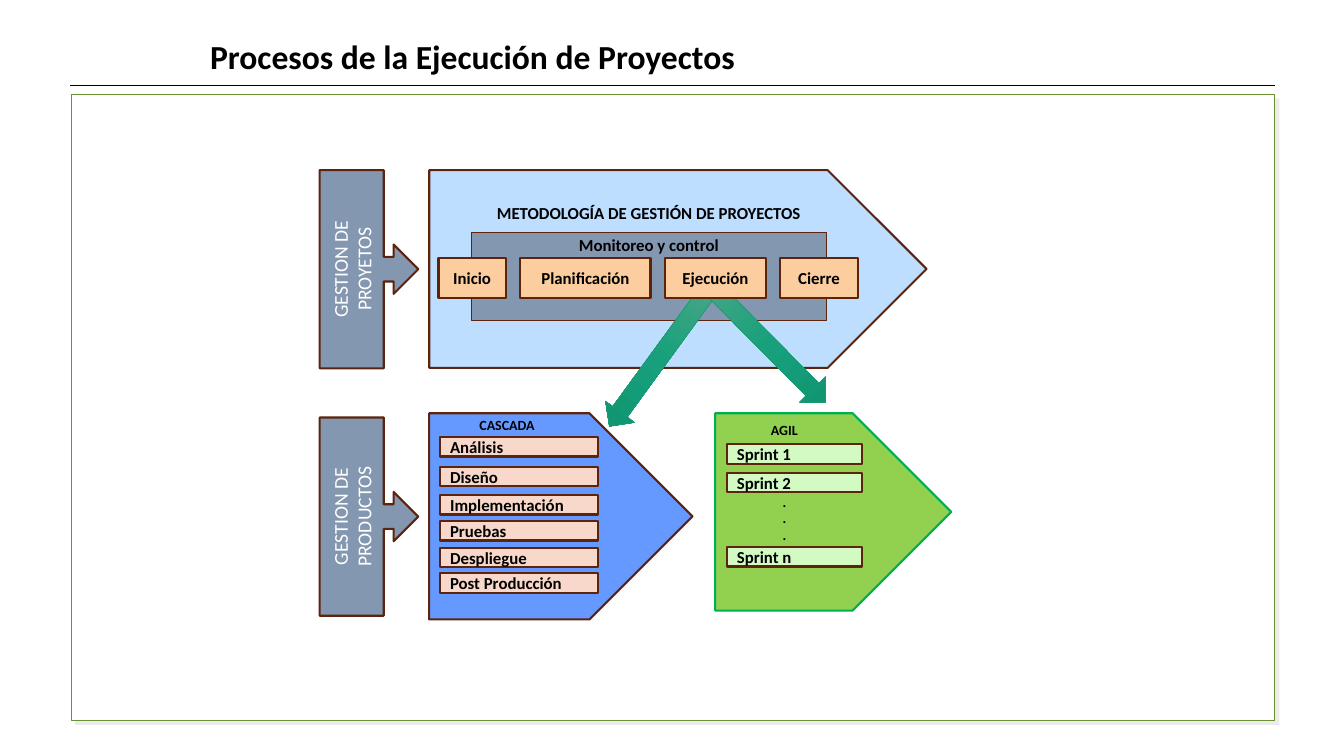
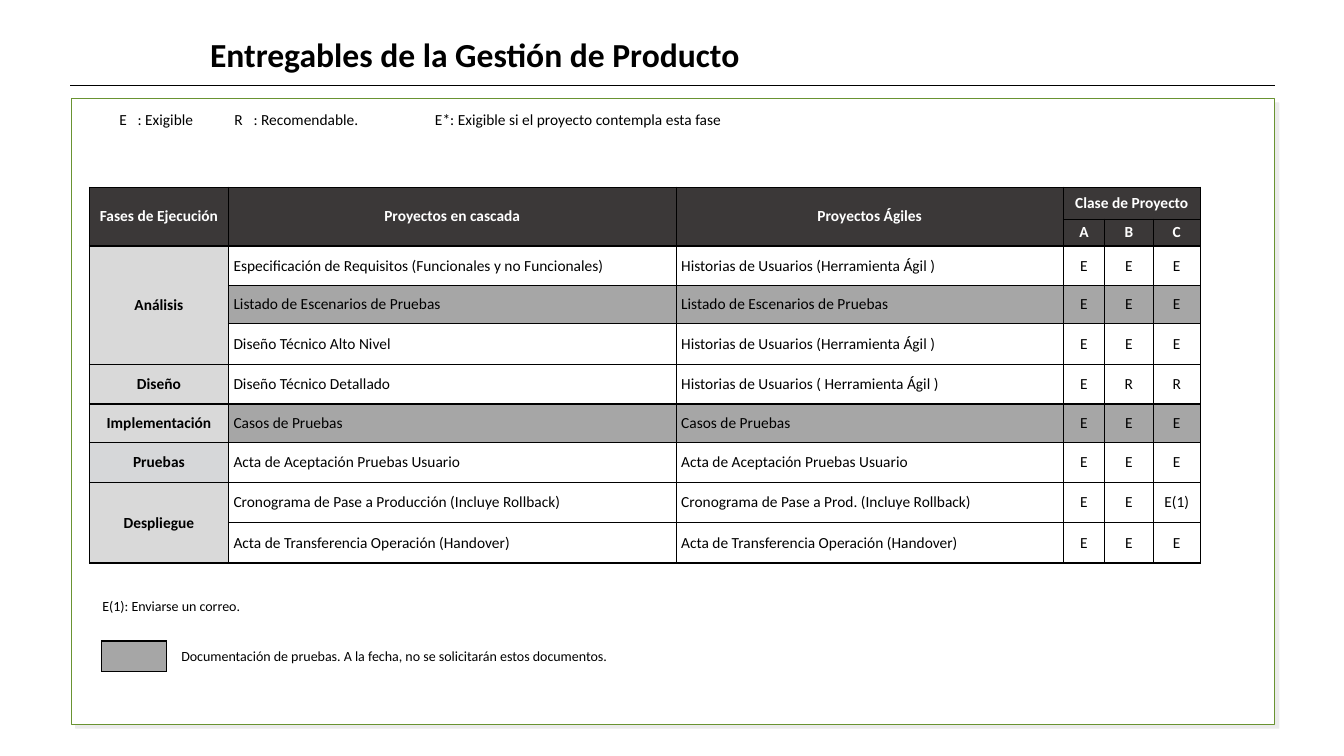
"""Build two slides on project execution: its processes and its product deliverables."""
from pptx import Presentation
from pptx.dml.color import RGBColor
from pptx.enum.shapes import MSO_CONNECTOR, MSO_SHAPE
from pptx.enum.text import MSO_ANCHOR, MSO_AUTO_SIZE, PP_ALIGN
from pptx.oxml import parse_xml
from pptx.oxml.ns import nsdecls
from pptx.util import Inches, Pt

BLACK = RGBColor(0x00, 0x00, 0x00)
WHITE = RGBColor(0xFF, 0xFF, 0xFF)
FRAME = RGBColor(0x69, 0x93, 0x31)
BROWN = RGBColor(0x5C, 0x24, 0x0C)
SLATE = RGBColor(0x84, 0x97, 0xB0)
SKY = RGBColor(0xBD, 0xDE, 0xFF)
BLUE = RGBColor(0x66, 0x99, 0xFF)
LIME = RGBColor(0x92, 0xD0, 0x50)
GREEN = RGBColor(0x00, 0xB0, 0x50)
TEAL = RGBColor(0x1D, 0x9A, 0x78)
ORANGE = RGBColor(0xFB, 0xCD, 0x9F)
PINK = RGBColor(0xF8, 0xD8, 0xCA)
MINT = RGBColor(0xD2, 0xFA, 0xC2)
DARK = RGBColor(0x3B, 0x38, 0x38)
PHASE = RGBColor(0xD9, 0xD9, 0xD9)
PHASE_TESTS = RGBColor(0xD6, 0xD7, 0xD9)
GRAY = RGBColor(0xA6, 0xA6, 0xA6)

COLS, ROWS = 160, 90
U = Pt(6)
LEFT, CENTER = PP_ALIGN.LEFT, PP_ALIGN.CENTER
TOP, MIDDLE = MSO_ANCHOR.TOP, MSO_ANCHOR.MIDDLE


def write(tf, text, size=12, bold=False, color=BLACK, align=LEFT, anchor=TOP, wrap=True):
    tf.text = text
    tf.word_wrap = wrap
    tf.vertical_anchor = anchor
    for p in tf.paragraphs:
        p.alignment = align
        for r in p.runs:
            r.font.name = "Calibri"
            r.font.size = Pt(size)
            r.font.bold = bold
            r.font.color.rgb = color
    return tf


def add(s, box, kind=None, fill=None, line=BROWN, weight=1.5):
    box = [round(v * U) for v in box]
    if kind is None:
        return s.shapes.add_textbox(*box)
    sp = s.shapes.add_shape(kind, *box)
    sp.shadow.inherit = False
    sp.fill.solid()
    sp.fill.fore_color.rgb = fill
    sp.line.color.rgb = line
    sp.line.width = Pt(weight)
    return sp


prs = Presentation()
prs.slide_width, prs.slide_height = COLS * U, ROWS * U

slides = []
for title, title_top, title_width, frame_top in (
    ("Procesos de la Ejecución de Proyectos", 3.7, 65.5, 11.3),
    ("Entregables de la Gestión de Producto", 3.4, 94.8, 11.75),
):
    s = prs.slides.add_slide(prs.slide_layouts[5])
    slides.append(s)
    frame = add(s, (8.5, frame_top, 143.25, 74.45), MSO_SHAPE.ROUND_2_SAME_RECTANGLE,
                WHITE, FRAME, 0.75)
    frame.adjustments[0] = frame.adjustments[1] = 0
    frame.rotation = 180
    frame._element.spPr.find("{*}effectLst").append(parse_xml(
        f'<a:outerShdw {nsdecls("a")} dist="53340" dir="2700000" algn="tl" rotWithShape="0">'
        '<a:srgbClr val="000000"><a:alpha val="8000"/></a:srgbClr></a:outerShdw>'))
    rule = s.shapes.add_connector(
        MSO_CONNECTOR.STRAIGHT, *[round(v * U) for v in (8.35, 10.2, 151.8, 10.2)])
    rule.line.color.rgb = BLACK
    rule.line.width = Pt(0.5)
    rule._element.spPr.append(parse_xml(f'<a:effectLst {nsdecls("a")}/>'))
    sp = s.shapes.title
    sp.left, sp.top, sp.width, sp.height = [
        round(v * U) for v in (23.8, title_top, title_width, 6)]
    tf = write(sp.text_frame, title, size=24, bold=True)
    tf.auto_size = MSO_AUTO_SIZE.NONE

s = slides[0]
for top, text in ((20.25, "GESTION DE\nPROYETOS"), (49.7, "GESTION DE\nPRODUCTOS")):
    sp = add(s, (38.05, top, 11.75, 23.6), MSO_SHAPE.RIGHT_ARROW_CALLOUT, SLATE)
    tf = write(sp.text_frame, text, size=14, color=WHITE, align=CENTER, anchor=MIDDLE)
    tf._txBody.bodyPr.set("vert", "vert270")

for box, fill, line in (
    ((51.1, 20.25, 59.2, 23.55), SKY, BROWN),
    ((51.1, 49.2, 31.35, 24.55), BLUE, BROWN),
    ((85.15, 49.2, 28.1, 23.5), LIME, GREEN),
):
    add(s, box, MSO_SHAPE.PENTAGON, fill, line)

add(s, (56.1, 27.7, 42.3, 10.4), MSO_SHAPE.RECTANGLE, SLATE, weight=0.5)
for top, text in ((23.6, "METODOLOGÍA DE GESTIÓN DE PROYECTOS"), (27.4, "Monitoreo y control")):
    write(add(s, (56.1, top, 42.3, 3.6)).text_frame, text, bold=True, align=CENTER)

for box, angle in (((76.35, 32.5, 4.3, 20.2), 36.1), ((89.3, 31.4, 4.3, 19.3), 315.2)):
    sp = add(s, box, MSO_SHAPE.DOWN_ARROW, TEAL, TEAL, 0.5)
    sp.rotation = angle
    spPr = sp._element.spPr
    spPr.replace(spPr.find("{*}solidFill"), parse_xml(
        f'<a:gradFill {nsdecls("a")} rotWithShape="1"><a:gsLst>'
        '<a:gs pos="0"><a:srgbClr val="4EA788"/></a:gs>'
        '<a:gs pos="50000"><a:srgbClr val="17A07B"/></a:gs>'
        '<a:gs pos="100000"><a:srgbClr val="0F9470"/></a:gs>'
        '</a:gsLst><a:lin ang="5400000" scaled="0"/></a:gradFill>'))

for left, width, text in (
    (52.2, 8, "Inicio"), (61.95, 15.5, "Planificación"),
    (79.2, 11.95, "Ejecución"), (92.9, 9.2, "Cierre"),
):
    sp = add(s, (left, 30.75, width, 4.7), MSO_SHAPE.RECTANGLE, ORANGE)
    write(sp.text_frame, text, bold=True, align=CENTER, anchor=MIDDLE)

for left, width, fill, steps in (
    (52.4, 18.75, PINK, (
        (52.05, "Análisis"), (55.6, "Diseño"), (58.95, "Implementación"),
        (62.05, "Pruebas"), (65.2, "Despliegue"), (68.25, "Post Producción"))),
    (86.55, 16.05, MINT, ((52.9, "Sprint 1"), (56.3, "Sprint 2"), (65.15, "Sprint n"))),
):
    for top, text in steps:
        sp = add(s, (left, top, width, 2.3), MSO_SHAPE.RECTANGLE, fill)
        write(sp.text_frame, text, bold=True, anchor=MIDDLE)

for box, text in (
    ((55.9, 49, 9.1, 3.2), "CASCADA"),
    ((90.6, 49.6, 5.6, 3.2), "AGIL"),
    ((92, 58.1, 2.9, 7.3), ".\n.\n."),
):
    write(add(s, box).text_frame, text, size=10, bold=True, wrap=False)

s = slides[1]
tf = write(add(s, (13.05, 12.5, 82.8, 3.5)).text_frame,
           "E\t: Exigible\tR\t: Recomendable.\tE*: Exigible si el proyecto contempla esta fase",
           size=11)
stops = "".join(f'<a:tab pos="{Inches(x)}" algn="l"/>' for x in (0.18, 1.14, 1.33, 3.13))
tf.paragraphs[0]._p.get_or_add_pPr().append(
    parse_xml(f'<a:tabLst {nsdecls("a")}>{stops}</a:tabLst>'))

widths = (16.55, 53.3, 46.1, 4.9, 5.8, 5.6)
heights = (3.8, 3.2, 4.7, 4.5, 4.95, 4.65, 4.55, 4.8, 4.8, 4.8)
tools = "Historias de Usuarios (Herramienta Ágil )"
tests = "Listado de Escenarios de Pruebas"
accept = "Acta de Aceptación Pruebas Usuario"
handover = "Acta de Transferencia Operación (Handover)"
data = (
    ("Fases de Ejecución", "Proyectos en cascada", "Proyectos Ágiles", "Clase de Proyecto", "", ""),
    ("", "", "", "A", "B", "C"),
    ("Análisis", "Especificación de Requisitos (Funcionales y no Funcionales)", tools, "E", "E", "E"),
    ("", tests, tests, "E", "E", "E"),
    ("", "Diseño Técnico Alto Nivel", tools, "E", "E", "E"),
    ("Diseño", "Diseño Técnico Detallado", "Historias de Usuarios ( Herramienta Ágil )", "E", "R", "R"),
    ("Implementación", "Casos de Pruebas", "Casos de Pruebas", "E", "E", "E"),
    ("Pruebas", accept, accept, "E", "E", "E"),
    ("Despliegue", "Cronograma de Pase a Producción (Incluye Rollback)",
     "Cronograma de Pase a Prod. (Incluye Rollback)", "E", "E", "E(1)"),
    ("", handover, handover, "E", "E", "E"),
)
spans = (((0, 0), (1, 0)), ((0, 1), (1, 1)), ((0, 2), (1, 2)),
         ((0, 3), (0, 5)), ((2, 0), (4, 0)), ((8, 0), (9, 0)))
HEADER_ROWS = 2
row_fills = {0: DARK, 1: DARK, 3: GRAY, 6: GRAY}
first_fills = {0: DARK, 1: DARK, 7: PHASE_TESTS}
fills = [[first_fills.get(i, PHASE)] + [row_fills.get(i)] * 5 for i in range(len(data))]

for left, top, widths, heights, data, fills, spans in (
    (10.65, 22.3, widths, heights, data, fills, spans),
    (12.1, 76.3, (7.7,), (3.6,), (("",),), ((GRAY,),), ()),
):
    table = s.shapes.add_table(
        len(heights), len(widths),
        *[round(v * U) for v in (left, top, sum(widths), sum(heights))]).table
    table.first_row = table.horz_banding = False
    for col, width in zip(table.columns, widths):
        col.width = round(width * U)
    for i, (row, height) in enumerate(zip(table.rows, heights)):
        row.height = round(height * U)
        header = i < HEADER_ROWS
        for j, (cell, text, fill) in enumerate(zip(row.cells, data[i], fills[i])):
            write(cell.text_frame, text, size=11, bold=header or j == 0,
                  color=WHITE if header else BLACK,
                  align=LEFT if not header and j in (1, 2) else CENTER)
            cell.vertical_anchor = MIDDLE
            cell.margin_left = cell.margin_right = Inches(0.05)
            cell.margin_top = cell.margin_bottom = 0
            for side in "LRTB":
                cell._tc.get_or_add_tcPr().append(parse_xml(
                    f'<a:ln{side} {nsdecls("a")} w="{Pt(1)}"><a:solidFill>'
                    f'<a:srgbClr val="{BLACK}"/></a:solidFill></a:ln{side}>'))
            if fill is None:
                cell.fill.background()
            else:
                cell.fill.solid()
                cell.fill.fore_color.rgb = fill
    for first, last in spans:
        table.cell(*first).merge(table.cell(*last))

for left, top, text in (
    (11, 70.55, "E(1): Enviarse un correo."),
    (20.4, 76.5, "Documentación de pruebas. A la fecha, no se solicitarán estos documentos."),
):
    write(add(s, (left, top, 80, 3.2)).text_frame, text, size=10)

prs.save("out.pptx")
